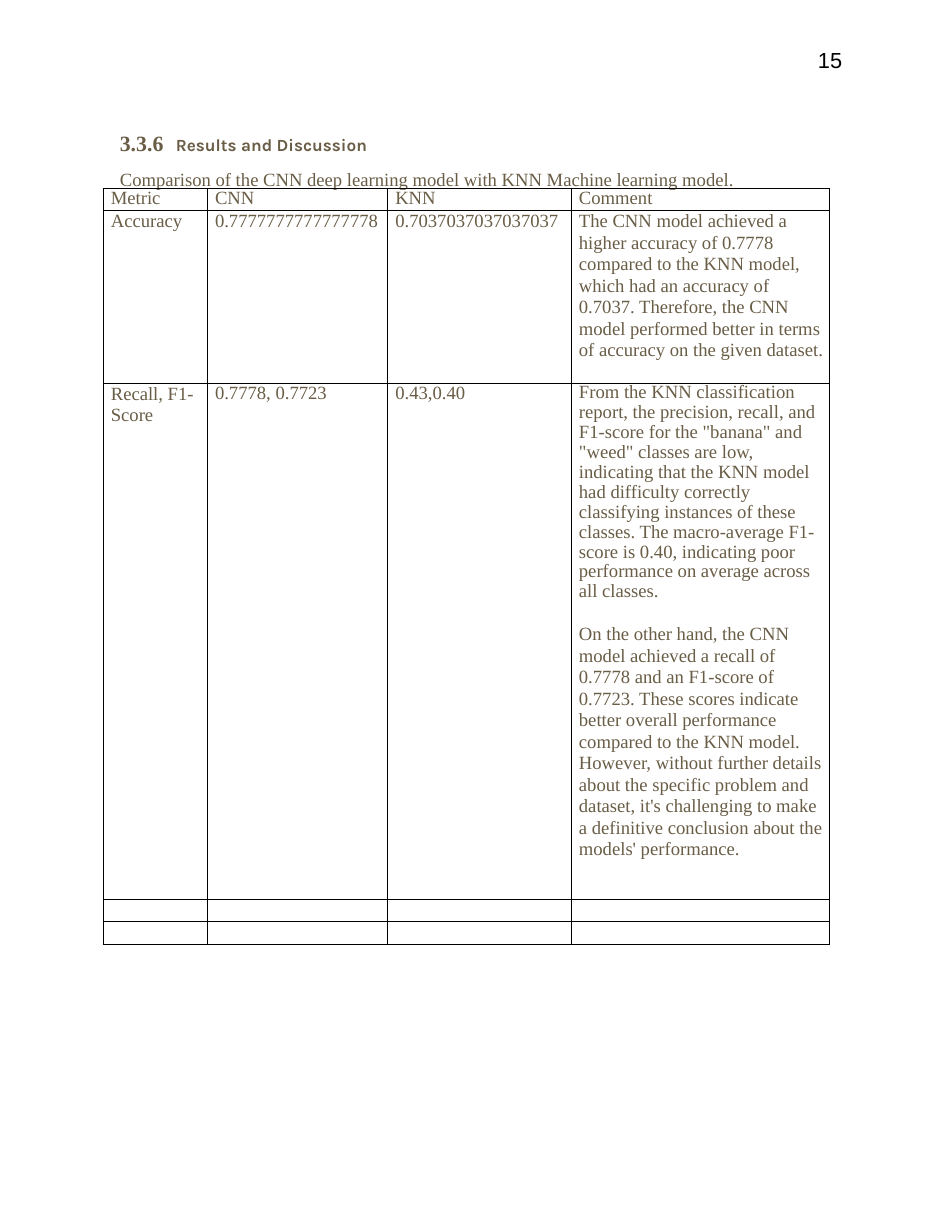
from dataclasses import dataclass

from lxml.etree import SubElement
from pptx import Presentation
from pptx.dml.color import RGBColor
from pptx.enum.text import MSO_ANCHOR, PP_ALIGN as Align
from pptx.oxml import parse_xml
from pptx.oxml.ns import nsdecls, qn
from pptx.util import Inches, Pt


@dataclass(frozen=True)
class Theme:
    ink: str = "695D46"
    black: str = "000000"
    serif: str = "Times New Roman"
    accent: str = "Karla"
    sans: str = "Arial"
    body: float = 12
    heading: float = 14
    subheading: float = 11
    border: float = 0.58


class Page:
    def __init__(self, prs, theme):
        self.theme = theme
        self.s = prs.slides.add_slide(prs.slide_layouts[6])

    def run(self, p, text, size=None, font=None, color=None, bold=False):
        r = p.add_run()
        r.text = text
        r.font.size = Pt(size or self.theme.body)
        r.font.name = font or self.theme.serif
        r.font.bold = bold
        r.font.color.rgb = RGBColor.from_string(color or self.theme.ink)

    def text_box(self, left, top, width, height):
        tf = self.s.shapes.add_textbox(
            Inches(left), Inches(top), Inches(width), Inches(height)).text_frame
        tf.word_wrap = True
        tf.margin_left = tf.margin_right = tf.margin_top = tf.margin_bottom = 0
        return tf

    def tab_stop(self, p, pos):
        tabs = SubElement(p._p.get_or_add_pPr(), qn("a:tabLst"))
        SubElement(tabs, qn("a:tab"), pos=str(Inches(pos)), algn="l")

    def borders(self, cell):
        tc_pr = cell._tc.get_or_add_tcPr()
        for i, side in enumerate("LRTB"):
            tc_pr.insert(i, parse_xml(
                f'<a:ln{side} {nsdecls("a")} w="{Pt(self.theme.border)}"><a:solidFill>'
                f'<a:srgbClr val="{self.theme.black}"/></a:solidFill></a:ln{side}>'))

    def cell(self, cell, paragraphs):
        cell.margin_left = Inches(0.07)
        cell.margin_right = cell.margin_top = cell.margin_bottom = 0
        cell.vertical_anchor = MSO_ANCHOR.TOP
        cell.fill.background()
        self.borders(cell)
        tf = cell.text_frame
        for i, (text, spacing) in enumerate(paragraphs):
            p = tf.add_paragraph() if i else tf.paragraphs[0]
            p.line_spacing = spacing
            if i:
                p.space_before = Pt(14)
            self.run(p, text)
        if not paragraphs:
            # Keeps an empty row as low as a line of body text
            SubElement(tf.paragraphs[0]._p, qn("a:endParaRPr"),
                       sz=str(int(self.theme.body * 100)))

    def table(self, left, top, widths, heights, rows):
        table = self.s.shapes.add_table(
            len(heights), len(widths), Inches(left), Inches(top),
            Inches(sum(widths)), Inches(sum(heights))).table
        table.first_row = table.horz_banding = False
        for col, width in zip(table.columns, widths):
            col.width = Inches(width)
        for row, height, values in zip(table.rows, heights, rows):
            row.height = Inches(height)
            for cell, value in zip(row.cells, values):
                self.cell(cell, value)


def plain(*texts):
    return [[(text, None)] for text in texts]


ACCURACY = (
    "The CNN model achieved a higher accuracy of 0.7778 compared to the KNN model, "
    "which had an accuracy of 0.7037. Therefore, the CNN model performed better in "
    "terms of accuracy on the given dataset.")
KNN_SCORES = (
    'From the KNN classification report, the precision, recall, and F1-score for the '
    '"banana" and "weed" classes are low, indicating that the KNN model had difficulty '
    "correctly classifying instances of these classes. The macro-average F1- score is "
    "0.40, indicating poor performance on average across all classes.")
CNN_SCORES = (
    "On the other hand, the CNN model achieved a recall of 0.7778 and an F1-score of "
    "0.7723. These scores indicate better overall performance compared to the KNN model. "
    "However, without further details about the specific problem and dataset, it's "
    "challenging to make a definitive conclusion about the models' performance.")


def main():
    prs = Presentation()
    prs.slide_width, prs.slide_height = Inches(8.5), Inches(11)
    t = Theme()
    page = Page(prs, t)

    # Page number, heading and caption
    tf = page.text_box(1.07, 0.42, 6.45, 1.23)
    p = tf.paragraphs[0]
    p.alignment = Align.RIGHT
    page.run(p, "15", t.heading, t.sans, t.black)

    p = tf.add_paragraph()
    p.space_before = Pt(36.5)
    page.tab_stop(p, 0.5)
    page.run(p, "3.3.6\t", t.heading, bold=True)
    page.run(p, "Results and Discussion", t.subheading, t.accent, bold=True)

    p = tf.add_paragraph()
    p.space_before = Pt(7.8)
    page.run(p, "Comparison of the CNN deep learning model with KNN Machine learning model.")

    # Comparison table
    exact = Pt(13.8)
    page.table(
        0.92, 1.68, [0.93, 1.61, 1.64, 2.31], [0.2, 1.54, 4.61, 0.2, 0.2],
        [
            plain("Metric", "CNN", "KNN", "Comment"),
            plain("Accuracy", "0.7777777777777778", "0.7037037037037037")
            + [[(ACCURACY, exact)]],
            [[("Recall, F1- Score", exact)]] + plain("0.7778, 0.7723", "0.43,0.40")
            + [[(KNN_SCORES, 0.96), (CNN_SCORES, exact)]],
            [[]] * 4,
            [[]] * 4,
        ])

    prs.save("out.pptx")


if __name__ == "__main__":
    main()
